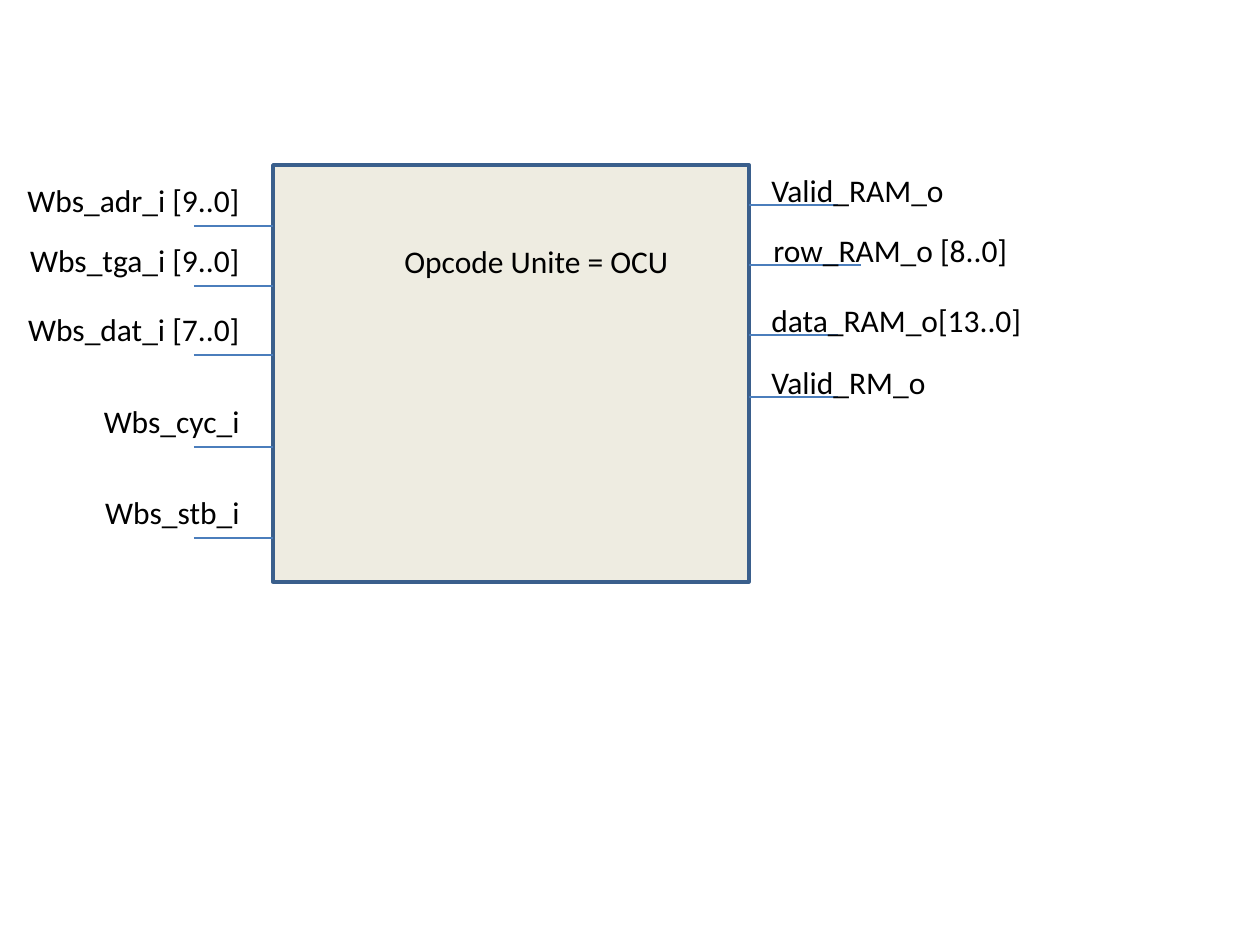
from dataclasses import dataclass

from lxml.etree import SubElement
from pptx import Presentation
from pptx.dml.color import RGBColor
from pptx.enum.shapes import MSO_CONNECTOR as Connector, MSO_SHAPE as Preset
from pptx.enum.text import PP_ALIGN as Align
from pptx.oxml.ns import qn
from pptx.util import Pt

EMU_PER_PX = 914400 / 126
BOX_LEFT, BOX_TOP, BOX_WIDTH, BOX_HEIGHT = 273, 165, 476, 417
BOX_RIGHT = BOX_LEFT + BOX_WIDTH
INPUT_WIRE_LEFT = 194
INPUT_LABEL_LEFT, INPUT_LABEL_WIDTH = -25, 277
INPUT_LABEL_RISE, OUTPUT_LABEL_RISE = 51, 40
LINE_HEIGHT = 52


@dataclass(frozen=True)
class InputPort:
    name: str
    y: int


@dataclass(frozen=True)
class OutputPort:
    name: str
    y: int
    label_width: int
    label_left: int = 759
    label_height: int = LINE_HEIGHT
    wire_right: int = 838


INPUTS = [
    InputPort("Wbs_adr_i [9..0]", 226),
    InputPort("Wbs_tga_i [9..0]", 286),
    InputPort("Wbs_dat_i [7..0]", 355),
    InputPort("Wbs_cyc_i", 447),
    InputPort("Wbs_stb_i", 538),
]
OUTPUTS = [
    OutputPort("Valid_RAM_o", 205, 228),
    OutputPort("row_RAM_o [8..0]", 265, 285, 761, 91, 861),
    OutputPort("data_RAM_o[13..0]", 335, 297),
    OutputPort("Valid_RM_o", 397, 228),
]


def px(length: int) -> int:
    return round(length * EMU_PER_PX)


def color(value: str) -> RGBColor:
    return RGBColor.from_string(value)


def draw_unit(shapes) -> None:
    unit = shapes.add_shape(
        Preset.RECTANGLE, px(BOX_LEFT), px(BOX_TOP), px(BOX_WIDTH), px(BOX_HEIGHT)
    )
    unit.shadow.inherit = False
    unit.fill.solid()
    unit.fill.fore_color.rgb = color("EEECE1")
    unit.line.color.rgb = color("3A5F8C")
    unit.line.width = Pt(2)


def draw_wire(shapes, left: int, right: int, y: int) -> None:
    wire = shapes.add_connector(Connector.STRAIGHT, px(left), px(y), px(right), px(y))
    wire.line.color.rgb = color("4B7EBC")
    wire.line.width = Pt(0.75)
    SubElement(wire._element.spPr, qn("a:effectLst"))


def draw_label(
    shapes,
    text: str,
    left: int,
    top: int,
    width: int,
    height: int = LINE_HEIGHT,
    align: Align = Align.LEFT,
) -> None:
    label = shapes.add_textbox(px(left), px(top), px(width), px(height))
    label.text_frame.word_wrap = True
    label.text_frame.text = text
    paragraph = label.text_frame.paragraphs[0]
    paragraph.alignment = align
    font = paragraph.runs[0].font
    font.name = "Calibri"
    font.size = Pt(18)
    font.color.rgb = color("000000")


def draw_input(shapes, port: InputPort) -> None:
    draw_wire(shapes, INPUT_WIRE_LEFT, BOX_LEFT, port.y)
    draw_label(
        shapes,
        port.name,
        INPUT_LABEL_LEFT,
        port.y - INPUT_LABEL_RISE,
        INPUT_LABEL_WIDTH,
        align=Align.RIGHT,
    )


def draw_output(shapes, port: OutputPort) -> None:
    draw_wire(shapes, BOX_RIGHT, port.wire_right, port.y)
    draw_label(
        shapes,
        port.name,
        port.label_left,
        port.y - OUTPUT_LABEL_RISE,
        port.label_width,
        port.label_height,
    )


def main() -> None:
    deck = Presentation()
    deck.slide_width, deck.slide_height = px(1260), px(945)
    shapes = deck.slides.add_slide(deck.slide_layouts[6]).shapes
    draw_unit(shapes)
    for port in INPUTS:
        draw_input(shapes, port)
    draw_label(shapes, "Opcode Unite = OCU", 392, 236, 576)
    for port in OUTPUTS:
        draw_output(shapes, port)
    deck.save("out.pptx")


if __name__ == "__main__":
    main()
